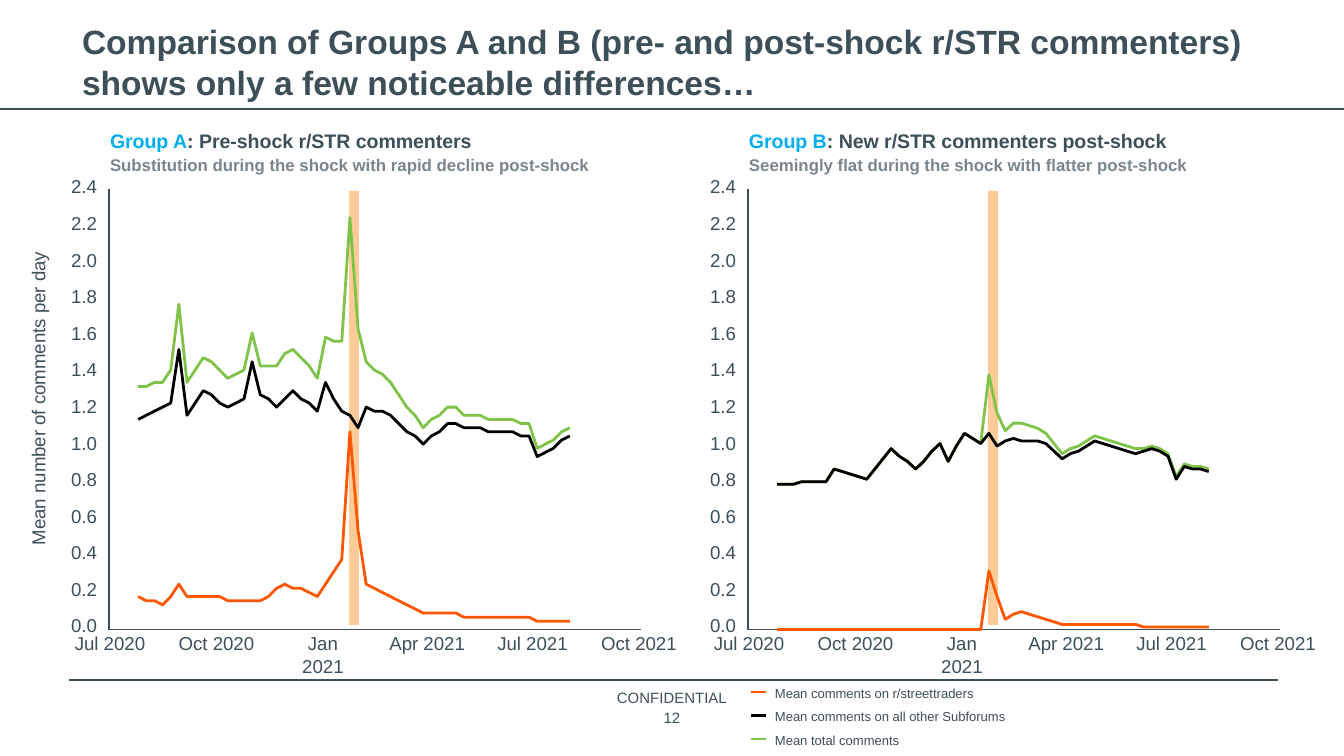
from itertools import pairwise

from lxml import etree
from pptx import Presentation
from pptx.chart.data import XyChartData
from pptx.dml.color import RGBColor
from pptx.enum.chart import XL_AXIS_CROSSES, XL_CHART_TYPE, XL_TICK_LABEL_POSITION, XL_TICK_MARK
from pptx.enum.shapes import MSO_CONNECTOR, MSO_SHAPE
from pptx.enum.text import MSO_ANCHOR, PP_ALIGN
from pptx.oxml import parse_xml
from pptx.oxml.ns import nsdecls, qn
from pptx.util import Pt

SCATTER = XL_CHART_TYPE.XY_SCATTER_LINES_NO_MARKERS
NO_LABELS, NO_TICK = XL_TICK_LABEL_POSITION.NONE, XL_TICK_MARK.NONE
AT_MINIMUM = XL_AXIS_CROSSES.MINIMUM
STRAIGHT, RECT = MSO_CONNECTOR.STRAIGHT, MSO_SHAPE.RECTANGLE
TOP, MIDDLE, BOTTOM = MSO_ANCHOR.TOP, MSO_ANCHOR.MIDDLE, MSO_ANCHOR.BOTTOM
LEFT, CENTER, RIGHT = PP_ALIGN.LEFT, PP_ALIGN.CENTER, PP_ALIGN.RIGHT

INK, GREY, CYAN, BAND = "3D505A", "7A868E", "00AEEF", "FFCC99"
FONT = "Arial"
PX = 914400 / 134.4

SERIES = [
    ("Mean comments on r/streettraders", "FF5700"),
    ("Mean comments on all other Subforums", "000000"),
    ("Mean total comments", "7FC349"),
]
FIRST_DAY, LAST_DAY, FIRST_WEEK = 18444, 18901, 18469
MONTHS = {18444: "Jul 2020", 18536: "Oct 2020", 18628: "Jan 2021",
          18718: "Apr 2021", 18809: "Jul 2021", 18901: "Oct 2021"}

GROUPS = [
    ("Group A", ": Pre-shock r/STR commenters",
     "Substitution during the shock with rapid decline post-shock", 107,
     {0: 8, 3: 6, 5: 11, 6: 8, 15: 7, 18: 11, 22: 8, 25: 17, 26: 48, 27: 24, 28: 11, 35: 4, 53: 2},
     {0: 51, 4: 55, 5: 68, 6: 52, 8: 58, 11: 54, 13: 56, 14: 65, 15: 57, 17: 54, 19: 58, 22: 53,
      23: 60, 25: 53, 26: 52, 27: 49, 28: 54, 31: 52, 35: 45, 38: 50, 48: 47, 49: 42, 53: 47}),
    ("Group B", ": New r/STR commenters post-shock",
     "Seemingly flat during the shock with flatter post-shock", 173,
     {0: 0, 25: 0, 26: 23, 27: 13, 28: 4, 30: 7, 35: 2, 53: 1},
     {0: 57, 6: 58, 7: 63, 11: 59, 14: 71, 17: 63, 20: 73, 21: 66, 23: 77, 25: 73, 26: 77, 27: 72,
      29: 75, 33: 73, 35: 67, 39: 74, 44: 69, 46: 71, 48: 68, 49: 59, 50: 64, 53: 62}),
]


def px(n):
    return round(n * PX)


def color(value):
    return RGBColor.from_string(value)


def weekly(turns):
    values = [turns[0]]
    for (start, low), (end, high) in pairwise(turns.items()):
        slope = (high - low) / (end - start)
        values += [round(low + slope * step) for step in range(1, end - start + 1)]
    return values


class Board:
    """Draws styled elements on the current slide."""

    def __init__(self, slide):
        self.shapes = slide.shapes

    def text(self, box, paragraphs, align=LEFT, anchor=MIDDLE, wrap=True, inset=(0, 0), before=0):
        s = self.shapes.add_textbox(*map(px, box))
        tf = s.text_frame
        dx, dy = map(px, inset)
        style = {"word_wrap": wrap, "vertical_anchor": anchor, "margin_left": dx,
                 "margin_right": dx, "margin_top": dy, "margin_bottom": dy}
        for name, value in style.items():
            setattr(tf, name, value)
        for i, runs in enumerate(paragraphs):
            p = tf.add_paragraph() if i else tf.paragraphs[0]
            p.alignment = align
            p.space_before = Pt(before)
            for words, size, ink, bold in runs:
                r = p.add_run()
                r.text = words
                for name, value in {"name": FONT, "size": Pt(size), "bold": bold}.items():
                    setattr(r.font, name, value)
                r.font.color.rgb = color(ink)
        return s

    def label(self, box, words, size=10, **style):
        return self.text(box, [[(words, size, INK, False)]], **style)

    def line(self, x1, y1, x2, y2, ink=INK, width=0.75):
        s = self.shapes.add_connector(STRAIGHT, *map(px, (x1, y1, x2, y2)))
        s.line.color.rgb = color(ink)
        s.line.width = Pt(width)
        etree.SubElement(s.element.spPr, qn("a:effectLst"))

    def rect(self, box, fill):
        s = self.shapes.add_shape(RECT, *map(px, box))
        s.shadow.inherit = False
        s.fill.solid()
        s.fill.fore_color.rgb = color(fill)
        s.line.fill.background()

    def chart(self, box, top_value, rows):
        data = XyChartData()
        for (name, _), values in zip(SERIES, rows):
            series = data.add_series(name)
            for week, value in enumerate(values):
                series.add_data_point(FIRST_WEEK + 7 * week, value)
        chart = self.shapes.add_chart(SCATTER, *map(px, box), data).chart
        chart.has_title = chart.has_legend = False
        chart.font.name = FONT
        chart.font.size = Pt(10)
        chart.font.color.rgb = color(INK)
        plot = chart.plots[0]
        plot.vary_by_categories = False
        for series, (_, ink) in zip(plot.series, SERIES):
            series.format.line.color.rgb = color(ink)
            series.format.line.width = Pt(1.5)
        ranges = [(chart.category_axis, FIRST_DAY, LAST_DAY), (chart.value_axis, 0, top_value)]
        for axis, low, high in ranges:
            style = {"minimum_scale": low, "maximum_scale": high, "has_major_gridlines": False,
                     "major_tick_mark": NO_TICK, "minor_tick_mark": NO_TICK,
                     "tick_label_position": NO_LABELS, "crosses": AT_MINIMUM}
            for name, value in style.items():
                setattr(axis, name, value)
            axis.format.line.color.rgb = color(INK)
            axis.format.line.width = Pt(0.75)
        self.fit_plot(chart)

    def fit_plot(self, chart):
        area = chart._chartSpace.chart.plotArea
        for old in area.findall(qn("c:layout")):
            area.remove(old)
        sizes = {"x": 0.02, "y": 0.03, "w": 0.96, "h": 0.95}
        parts = "".join(f'<c:{mode}Mode val="edge"/>' for mode in "xy")
        parts += "".join(f'<c:{key} val="{value}"/>' for key, value in sizes.items())
        area.insert(0, parse_xml(
            f'<c:layout {nsdecls("c")}><c:manualLayout><c:layoutTarget val="inner"/>'
            f'{parts}</c:manualLayout></c:layout>'))
        clear = f'<c:spPr {nsdecls("c", "a")}><a:noFill/><a:ln><a:noFill/></a:ln></c:spPr>'
        area.append(parse_xml(clear))
        chart._chartSpace.chart.addnext(parse_xml(clear))


def main():
    prs = Presentation()
    prs.slide_width, prs.slide_height = px(1344), px(756)
    board = Board(prs.slides.add_slide(prs.slide_layouts[6]))

    board.text((69, 17, 1209, 92), [[(
        "Comparison of Groups A and B (pre- and post-shock r/STR commenters) "
        "shows only a few noticeable differences…", 18, INK, True)]],
        anchor=BOTTOM, inset=(13, 7))
    board.line(0, 109, 1344, 109)
    board.line(69, 680, 1278, 680)
    board.label((609, 688, 126, 19), "CONFIDENTIAL", 8, align=CENTER)
    board.label((652, 708, 40, 19), "12", 8, align=CENTER)

    for i, (group, heading, note, top_value, street_turns, other_turns) in enumerate(GROUPS):
        x = 639 * i
        street, other = weekly(street_turns), weekly(other_turns)
        total = [sum(pair) for pair in zip(street, other)]
        board.rect((x + 349, 191, 10, 434), BAND)
        board.chart((x + 98, 175, 554, 464), top_value, [street, other, total])
        board.text((x + 110, 128, 528, 48), [
            [(group, 10.5, CYAN, True), (heading, 10.5, INK, True)],
            [(note, 9, GREY, True)]], before=0.8)
        for day, month in MONTHS.items():
            center = x + 110 + 529 * (day - FIRST_DAY) / (LAST_DAY - FIRST_DAY)
            board.label((center - 38, 632, 76, 23), month, align=CENTER, anchor=TOP, wrap=False)
        for step in range(13):
            board.label((x + 71, 614 - 439 * step / 12, 26, 23), f"{step / 5:.1f}",
                        align=RIGHT, wrap=False)

    for i, (name, ink) in enumerate(SERIES):
        y = 692 + 23.5 * i
        board.line(751, y, 766, y, ink, 1.5)
        board.label((775, y - 7, 231, 16), name, 7, wrap=False)

    s = board.label((-113, 383, 302, 31), "Mean number of comments per day", align=CENTER)
    s.rotation = 270
    prs.save("out.pptx")


if __name__ == "__main__":
    main()
